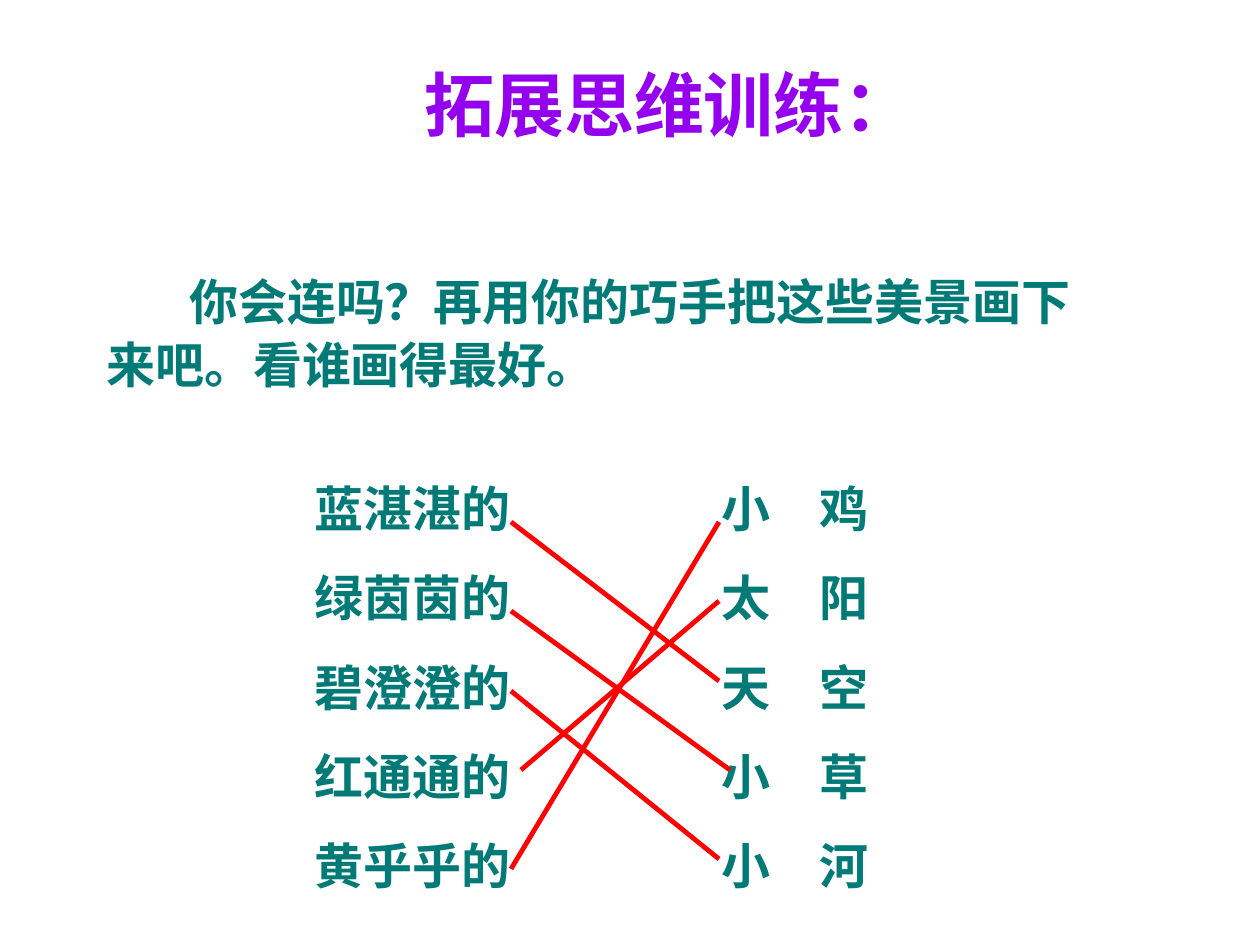
from lxml.etree import SubElement
from pptx import Presentation
from pptx.dml.color import RGBColor
from pptx.enum.shapes import MSO_CONNECTOR as CONNECTOR
from pptx.enum.text import MSO_ANCHOR as ANCHOR, MSO_AUTO_SIZE as AUTO_SIZE, PP_ALIGN as ALIGN
from pptx.oxml.ns import qn
from pptx.util import Inches, Pt

PX = Inches(1) / 126


def px(length):
    return round(length * PX)


def color(hex_string):
    return RGBColor.from_string(hex_string)


class MatchingSlide:
    TITLE_COLOR = "9400ED"
    TEXT_COLOR = "007A77"
    LINE_COLOR = "FF0000"
    TITLE_FONT = "Noto Sans CJK JP"
    TEXT_FONT = "Arial"

    def __init__(self, presentation):
        self.slide = presentation.slides.add_slide(presentation.slide_layouts[5])

    def style(self, paragraph, size, name, hex_string):
        font = paragraph.font
        font.size, font.name, font.bold = Pt(size), name, True
        font.color.rgb = color(hex_string)

    def title(self, text, left, top, width, height):
        shape = self.slide.shapes.title
        shape.left, shape.top, shape.width, shape.height = map(px, (left, top, width, height))
        frame = shape.text_frame
        frame.text = text
        frame.word_wrap = False
        frame.auto_size = AUTO_SIZE.NONE
        frame.vertical_anchor = ANCHOR.TOP
        paragraph = frame.paragraphs[0]
        paragraph.alignment = ALIGN.CENTER
        self.style(paragraph, 40, self.TITLE_FONT, self.TITLE_COLOR)

    def text_box(self, lines, left, top, width, height):
        box = self.slide.shapes.add_textbox(*map(px, (left, top, width, height)))
        frame = box.text_frame
        frame.word_wrap = True
        frame.auto_size = AUTO_SIZE.SHAPE_TO_FIT_TEXT
        frame.text = "\n".join(lines)
        for index, paragraph in enumerate(frame.paragraphs):
            if index:
                paragraph.space_before = Pt(17.5)
            self.style(paragraph, 28, self.TEXT_FONT, self.TEXT_COLOR)
        return frame

    def instruction(self, text, left, top, width, height):
        """Add a paragraph opened by one large full-width space and a small indent."""
        paragraph = self.text_box([""], left, top, width, height).paragraphs[0]
        paragraph._p.get_or_add_pPr().set("indent", str(px(13)))
        opening = paragraph.add_run()
        opening.text = "　"
        opening.font.size = Pt(40)
        opening.font.bold = False
        paragraph.add_run().text = text

    def line(self, start, end):
        connector = self.slide.shapes.add_connector(
            CONNECTOR.STRAIGHT, *map(px, (*start, *end)))
        connector.line.color.rgb = color(self.LINE_COLOR)
        connector.line.width = Pt(2.75)
        SubElement(connector._element.spPr, qn("a:effectLst"))


def main():
    presentation = Presentation()
    presentation.slide_width, presentation.slide_height = px(1260), px(945)
    page = MatchingSlide(presentation)

    page.title("拓展思维训练：", 292, 55, 754, 110)
    page.instruction("你会连吗？再用你的巧手把这些美景画下来吧。看谁画得最好。",
                     94, 244, 1032, 156)

    descriptions = ["蓝湛湛的", "绿茵茵的", "碧澄澄的", "红通通的", "黄乎乎的"]
    things = ["小　鸡", "太　阳", "天　空", "小　草", "小　河"]
    for left, words in ((302, descriptions), (709, things)):
        page.text_box(words, left, 472, 228, 430)

    matches = [
        ((511, 522), (719, 681)),
        ((511, 611), (730, 770)),
        ((511, 691), (719, 859)),
        ((521, 770), (719, 601)),
        ((511, 869), (719, 522)),
    ]
    for start, end in matches:
        page.line(start, end)

    presentation.save("out.pptx")


if __name__ == "__main__":
    main()
